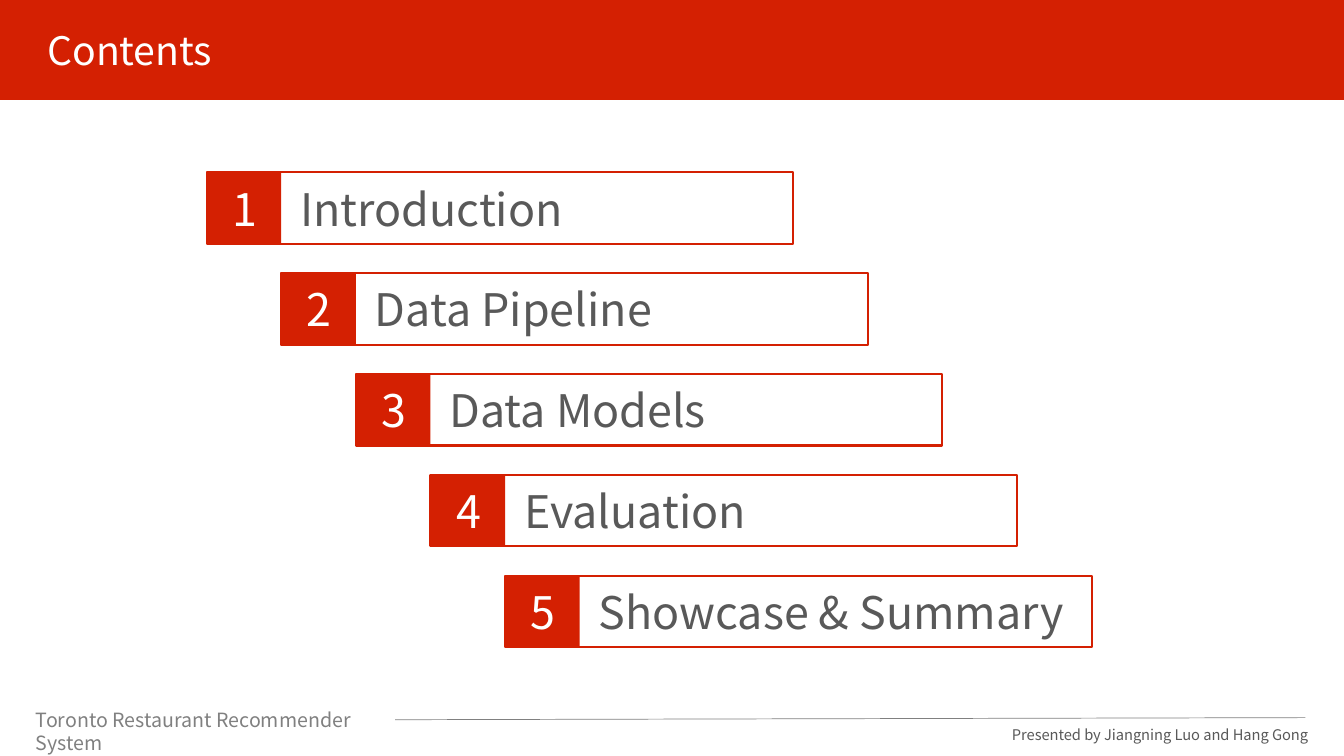
from dataclasses import dataclass

from lxml.etree import SubElement
from pptx import Presentation
from pptx.dml.color import RGBColor
from pptx.enum.shapes import MSO_CONNECTOR, MSO_SHAPE
from pptx.enum.text import MSO_ANCHOR, MSO_AUTO_SIZE, PP_ALIGN
from pptx.oxml.ns import qn
from pptx.shapes.autoshape import Shape
from pptx.slide import Slide
from pptx.util import Pt

RED = RGBColor(0xD4, 0x20, 0x02)
WHITE = RGBColor(0xFF, 0xFF, 0xFF)
DARK_GREY = RGBColor(0x59, 0x59, 0x59)
GREY = RGBColor(0x80, 0x80, 0x80)
FONT = "Noto Sans CJK JP"

FIRST_LEFT, FIRST_TOP = 147.6, 123.1
STEP_X, STEP_Y = 53.3, 72
BAR_WIDTH, BAR_HEIGHT = 419, 51.1


@dataclass(frozen=True)
class Box:
    left: float
    top: float
    width: float
    height: float


@dataclass(frozen=True)
class Section:
    title: str
    text_width: float


SECTIONS = [
    Section("Introduction", 275),
    Section("Data Pipeline", 275),
    Section("Data Models", 366.5),
    Section("Evaluation", 275),
    Section("Showcase & Summary", 403.2),
]


def place(sp: Shape, box: Box) -> None:
    sp.left, sp.top = Pt(box.left), Pt(box.top)
    sp.width, sp.height = Pt(box.width), Pt(box.height)


def write(sp: Shape, text: str, size: float, color: RGBColor,
          align: PP_ALIGN = PP_ALIGN.LEFT) -> None:
    tf = sp.text_frame
    tf.text = text
    tf.word_wrap = True
    tf.auto_size = MSO_AUTO_SIZE.SHAPE_TO_FIT_TEXT
    tf.vertical_anchor = MSO_ANCHOR.TOP
    p = tf.paragraphs[0]
    p.alignment = align
    p.font.name = FONT
    p.font.size = Pt(size)
    p.font.color.rgb = color


def add_text(s: Slide, box: Box, text: str, size: float, color: RGBColor,
             align: PP_ALIGN = PP_ALIGN.LEFT) -> None:
    sp = s.shapes.add_textbox(0, 0, 0, 0)
    place(sp, box)
    write(sp, text, size, color, align)


def add_rect(s: Slide, box: Box, fill: RGBColor, outlined: bool = False) -> None:
    sp = s.shapes.add_shape(MSO_SHAPE.RECTANGLE, 0, 0, 0, 0)
    place(sp, box)
    sp.shadow.inherit = False
    sp.fill.solid()
    sp.fill.fore_color.rgb = fill
    if outlined:
        sp.line.color.rgb = RED
        sp.line.width = Pt(1.5)
    else:
        sp.line.fill.background()


def add_section(s: Slide, index: int, section: Section) -> None:
    left = FIRST_LEFT + index * STEP_X
    top = FIRST_TOP + index * STEP_Y
    text_top = top + 2.9
    add_rect(s, Box(left, top, BAR_WIDTH, BAR_HEIGHT), WHITE, outlined=True)
    add_text(s, Box(left + 59.8, text_top, section.text_width, 46),
             section.title, 32, DARK_GREY)
    add_rect(s, Box(left, top, STEP_X, BAR_HEIGHT), RED)
    add_text(s, Box(left + 11.2, text_top, 38.2, 46), str(index + 1), 32, WHITE)


def add_footer(s: Slide) -> None:
    rule = s.shapes.add_connector(
        MSO_CONNECTOR.STRAIGHT, Pt(282.2), Pt(514.1), Pt(932.4), Pt(512.6))
    rule.line.color.rgb = GREY
    rule.line.width = Pt(0.5)
    SubElement(rule.element.spPr, qn("a:effectLst"))
    add_text(s, Box(18.5, 501.8, 263.5, 24.5),
             "Toronto Restaurant Recommender System", 14, GREY)
    add_text(s, Box(677.5, 514.8, 264.2, 20.2),
             "Presented by Jiangning Luo and Hang Gong", 10.5, DARK_GREY,
             PP_ALIGN.RIGHT)


def main() -> None:
    prs = Presentation()
    prs.slide_width, prs.slide_height = Pt(960), Pt(540)
    s = prs.slides.add_slide(prs.slide_layouts[5])
    add_rect(s, Box(0, 0, 960, 71.3), RED)
    title = s.shapes.title
    place(title, Box(26.6, 15.1, 183.6, 41))
    write(title, "Contents", 28, WHITE)
    s.shapes.element.append(title.element)
    for index, section in enumerate(SECTIONS):
        add_section(s, index, section)
    add_footer(s)
    prs.save("out.pptx")


if __name__ == "__main__":
    main()
